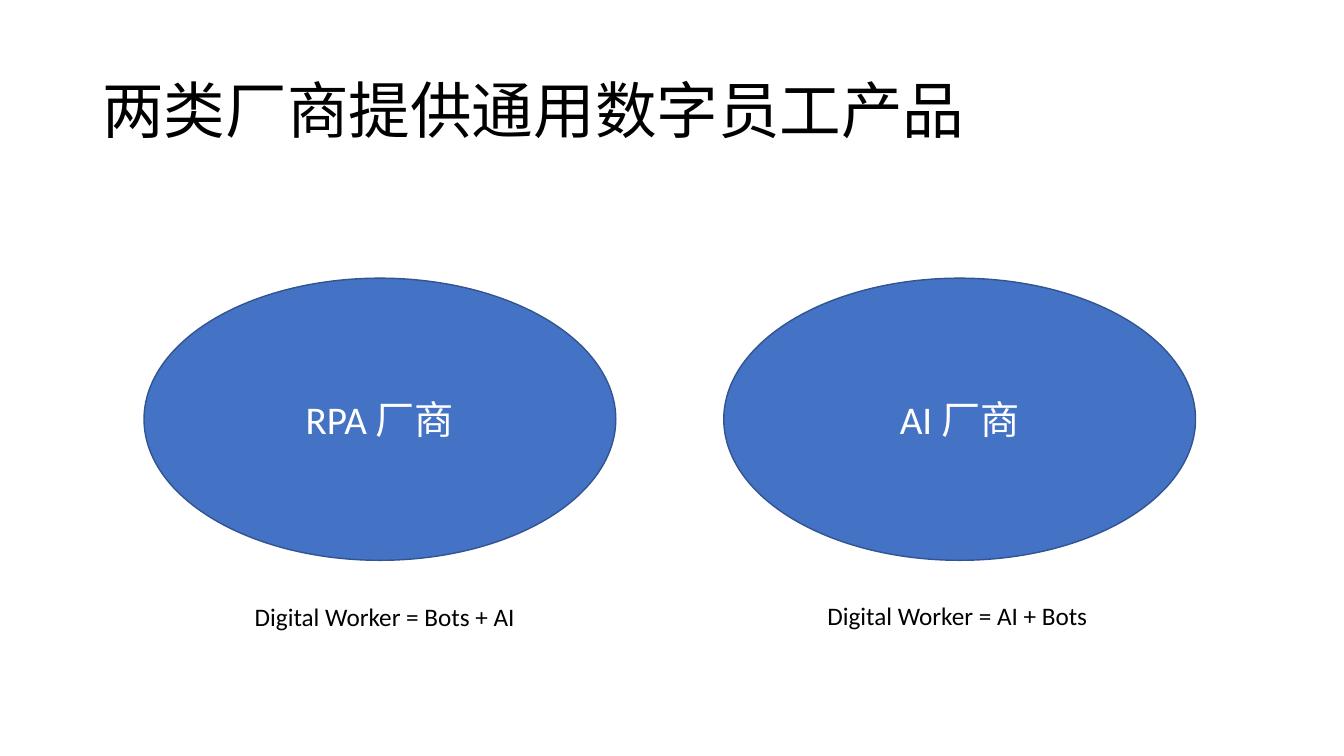
from pptx import Presentation
from pptx.dml.color import RGBColor
from pptx.enum.shapes import MSO_SHAPE
from pptx.enum.text import MSO_ANCHOR, MSO_AUTO_SIZE, PP_ALIGN
from pptx.util import Cm, Pt


def rgb(value):
    return RGBColor.from_string(value)


def write(shape, text, size, color="000000", align=PP_ALIGN.LEFT,
          anchor=MSO_ANCHOR.TOP, wrap=True, spacing=1.0):
    tf = shape.text_frame
    tf.word_wrap = wrap
    tf.vertical_anchor = anchor
    p = tf.paragraphs[0]
    p.alignment = align
    p.line_spacing = spacing
    r = p.add_run()
    r.text = text
    r.font.name = "Calibri"
    r.font.size = Pt(size)
    r.font.color.rgb = rgb(color)


prs = Presentation()
prs.slide_width, prs.slide_height = Cm(33.87), Cm(19.05)
s = prs.slides.add_slide(prs.slide_layouts[6])

title = s.shapes.add_textbox(Cm(2.33), Cm(1.01), Cm(29.21), Cm(3.68))
write(title, "两类厂商提供通用数字员工产品", 44, anchor=MSO_ANCHOR.MIDDLE, spacing=0.9)

vendors = [
    (3.63, "RPA 厂商", 6.17, 15.04, "Digital Worker = Bots + AI"),
    (18.24, "AI 厂商", 20.6, 15.01, "Digital Worker = AI + Bots"),
]
for left, name, formula_left, formula_top, formula in vendors:
    sp = s.shapes.add_shape(MSO_SHAPE.OVAL, Cm(left), Cm(7.01), Cm(11.89), Cm(7.11))
    sp.shadow.inherit = False
    sp.fill.solid()
    sp.fill.fore_color.rgb = rgb("4472C4")
    sp.line.color.rgb = rgb("325491")
    sp.line.width = Pt(1)
    write(sp, name, 28, "FFFFFF", PP_ALIGN.CENTER, MSO_ANCHOR.MIDDLE)

    caption = s.shapes.add_textbox(Cm(formula_left), Cm(formula_top), Cm(7.14), Cm(1.02))
    write(caption, formula, 18, wrap=False)
    caption.text_frame.auto_size = MSO_AUTO_SIZE.SHAPE_TO_FIT_TEXT

prs.save("out.pptx")
